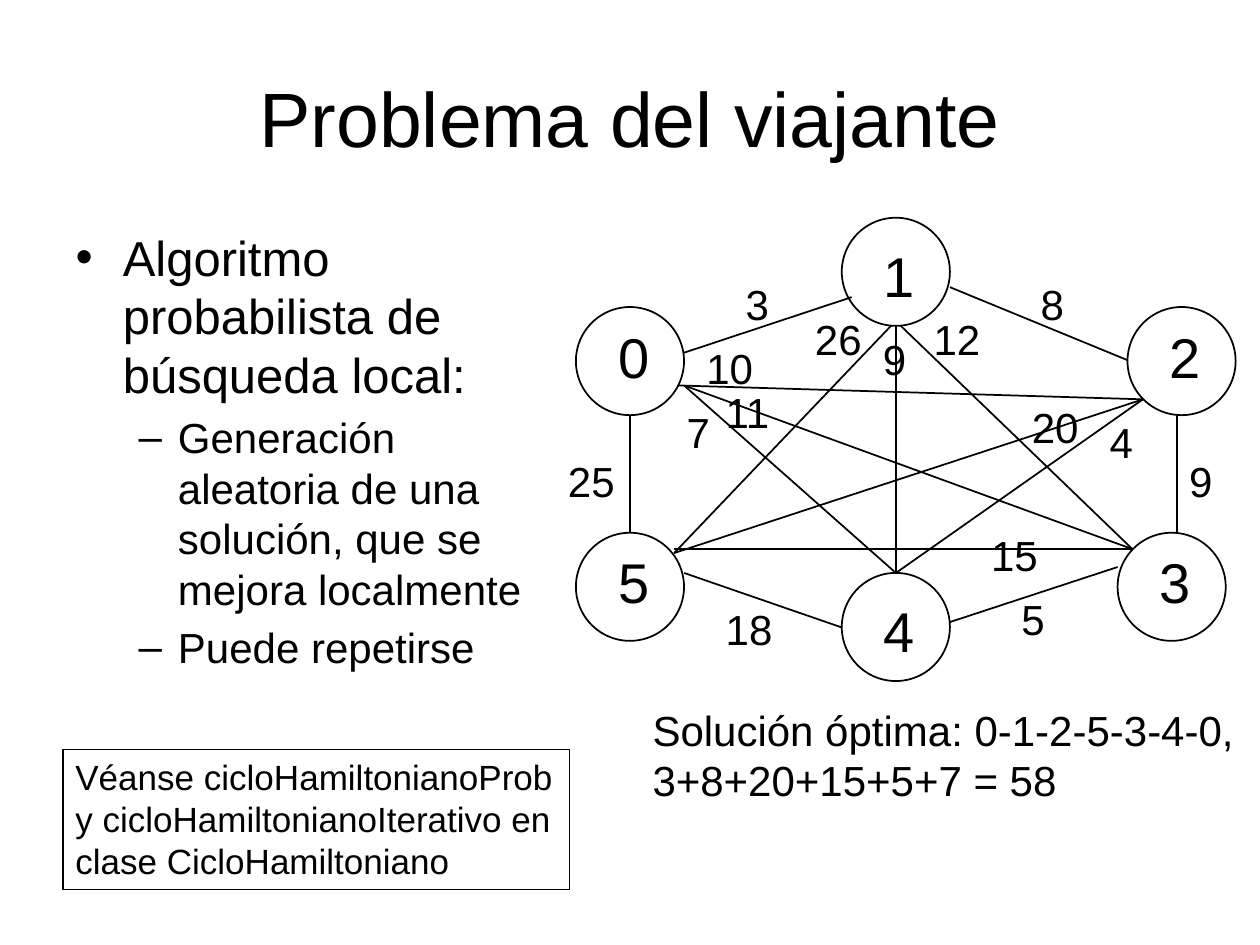
from lxml import etree
from pptx import Presentation
from pptx import util as u
from pptx.dml.color import RGBColor
from pptx.enum import shapes, text
from pptx.oxml.ns import qn

COLORS = {"ink": "000000"}
FONT = "Arial"
NODE_SIZE = 2.18
LABEL_WIDTH = 1.78

NODES = {
    "0": (0.41, 1.8),
    "4": (5.77, 7.16),
    "1": (5.77, 0),
    "5": (0.41, 6.35),
    "2": (11.53, 1.8),
    "3": (11.33, 6.35),
}
EDGES = [
    ("3", (2.59, 2.72), (5.97, 1.6), (3.58, 1.09)),
    ("5", (7.95, 8.15), (11.33, 7.04), (9.14, 7.44)),
    ("8", (11.53, 2.87), (7.95, 1.4), (9.53, 1.09)),
    ("18", (5.77, 8.26), (2.59, 7.16), (3.18, 7.65)),
    ("25", (1.5, 3.99), (1.5, 6.35), (0, 4.67)),
    ("9", (12.52, 3.99), (12.52, 6.35), (12.52, 4.67)),
    ("9", (6.86, 2.18), (6.86, 7.16), (6.35, 2.21)),
    ("20", (2.39, 6.76), (11.84, 3.66), (9.35, 3.58)),
    ("11", (11.63, 6.68), (2.59, 3.38), (3.18, 3.28)),
    ("10", (11.84, 3.66), (2.46, 3.38), (2.79, 2.39)),
    ("15", (11.63, 6.68), (2.39, 6.68), (8.53, 6.15)),
    ("7", (6.86, 7.16), (2.59, 3.38), (2.39, 3.68)),
    ("4", (6.86, 7.16), (11.84, 3.66), (10.92, 3.89)),
    ("12", (11.63, 6.68), (6.96, 2.18), (7.37, 1.8)),
    ("26", (2.39, 6.76), (6.76, 2.18), (4.98, 1.8)),
]


def color(name):
    """Return the named colour."""
    return RGBColor.from_string(COLORS[name])


def place(part, box):
    """Move and size a part to a box in centimetres."""
    part.left, part.top, part.width, part.height = map(u.Cm, box)


def write(paragraph, words, size, align=text.PP_ALIGN.LEFT, level=0, first=True, plain=False):
    """Fill a paragraph with formatted words."""
    paragraph.level = level
    paragraph.alignment = align
    if first:
        paragraph.space_before = u.Pt(0)
    if plain:
        properties = paragraph._p.get_or_add_pPr()
        properties.set("marL", "0")
        properties.set("indent", "0")
        etree.SubElement(properties, qn("a:buNone"))
    run = paragraph.add_run()
    run.text = words
    run.font.name = FONT
    run.font.size = u.Pt(size)
    run.font.color.rgb = color("ink")


def outline(part, width):
    """Give a shape a plain outline without fill or shadow."""
    part.shadow.inherit = False
    part.fill.background()
    part.line.color.rgb = color("ink")
    part.line.width = u.Pt(width)


def add_label(parts, x, y, words, size, height):
    """Add a short graph label."""
    label = parts.add_textbox(*map(u.Cm, (x, y, LABEL_WIDTH, height)))
    label.text_frame.word_wrap = True
    write(label.text_frame.paragraphs[0], words, size)


def add_edge(parts, start, end):
    """Add a straight graph edge."""
    edge = parts.add_connector(shapes.MSO_CONNECTOR.STRAIGHT, *map(u.Cm, start + end))
    edge.line.color.rgb = color("ink")
    edge.line.width = u.Pt(1)
    etree.SubElement(edge._element.spPr, qn("a:effectLst"))


def add_title(title, box):
    """Fill the title placeholder."""
    place(title, box)
    title.text_frame.vertical_anchor = text.MSO_ANCHOR.MIDDLE
    write(title.text_frame.paragraphs[0], "Problema del viajante", 44, text.PP_ALIGN.CENTER)


def add_algorithm(body, box):
    """Fill the bulleted description of the algorithm."""
    place(body, box)
    frame = body.text_frame
    frame.auto_size = text.MSO_AUTO_SIZE.NONE
    write(frame.paragraphs[0], "Algoritmo probabilista de búsqueda local:", 28)
    for step in ("Generación aleatoria de una solución, que se mejora localmente", "Puede repetirse"):
        write(frame.add_paragraph(), step, 24, level=1, first=False)


def add_solution(body, box):
    """Fill the optimal solution below the graph."""
    place(body, box)
    body.text_frame.auto_size = text.MSO_AUTO_SIZE.NONE
    write(body.text_frame.paragraphs[0],
          "Solución óptima: 0-1-2-5-3-4-0, 3+8+20+15+5+7 = 58", 24, plain=True)


def add_graph(slide, left, top):
    """Draw the weighted graph from its top left corner."""
    parts = slide.shapes.add_group_shape().shapes
    for name, (x, y) in NODES.items():
        node = parts.add_shape(shapes.MSO_SHAPE.OVAL,
                               *map(u.Cm, (left + x, top + y, NODE_SIZE, NODE_SIZE)))
        outline(node, 1)
        drop = 0.36 if name in "14" else 0.18
        add_label(parts, left + x + 0.6, top + y + drop, name, 32, 1.63)
    for _, start, end, _ in EDGES:
        add_edge(parts, (left + start[0], top + start[1]), (left + end[0], top + end[1]))
    for weight, _, _, (x, y) in EDGES:
        add_label(parts, left + x, top + y, weight, 24, 1.3)


def add_note(slide, box):
    """Add the framed reference to the class."""
    note = slide.shapes.add_shape(shapes.MSO_SHAPE.RECTANGLE, *map(u.Cm, box))
    outline(note, 0.75)
    note.text_frame.word_wrap = True
    note.text_frame.vertical_anchor = text.MSO_ANCHOR.TOP
    write(note.text_frame.paragraphs[0],
          "Véanse cicloHamiltonianoProb y cicloHamiltonianoIterativo en clase CicloHamiltoniano", 20)


def main():
    """Build and save the slide."""
    deck = Presentation()
    deck.slide_width, deck.slide_height = u.Cm(25.4), u.Cm(19.05)
    slide = deck.slides.add_slide(deck.slide_layouts[3])
    title, algorithm, solution = slide.placeholders
    add_title(title, (1.27, 0.76, 22.86, 3.18))
    add_algorithm(algorithm, (1.27, 4.45, 9.86, 12.57))
    add_solution(solution, (12.9, 14.07, 12.47, 4.22))
    add_graph(slide, 11.2, 4.39)
    add_note(slide, (1.27, 15.11, 10.21, 2.82))
    deck.save("out.pptx")


if __name__ == "__main__":
    main()
